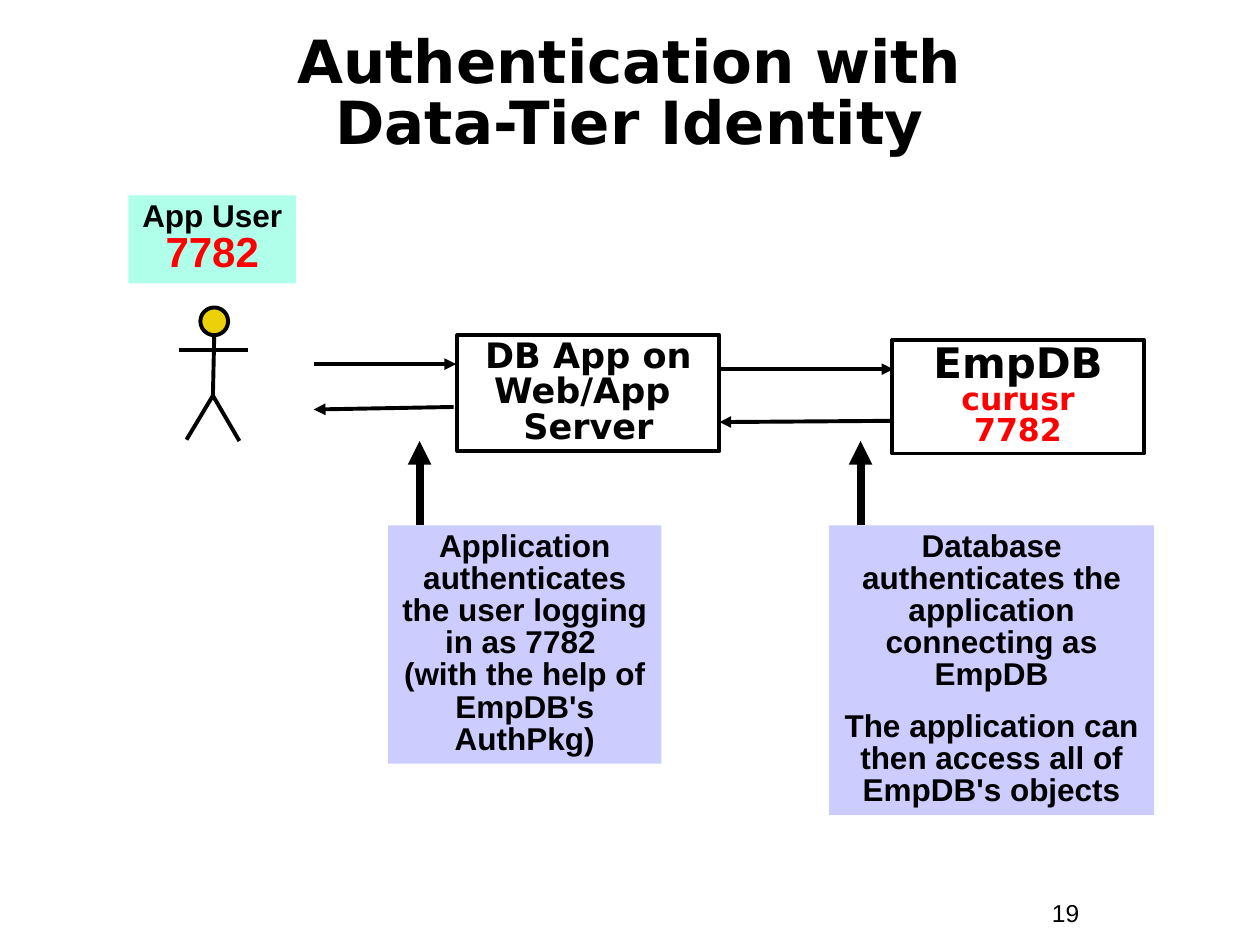
from pptx import Presentation
from pptx.dml.color import RGBColor
from pptx.enum.shapes import MSO_CONNECTOR, MSO_SHAPE
from pptx.enum.text import MSO_ANCHOR, MSO_AUTO_SIZE, PP_ALIGN
from pptx.oxml.ns import qn
from pptx.util import Inches, Pt
from lxml import etree

STRAIGHT = MSO_CONNECTOR.STRAIGHT
RECTANGLE, OVAL = MSO_SHAPE.RECTANGLE, MSO_SHAPE.OVAL
CENTER = PP_ALIGN.CENTER
TOP, MIDDLE = MSO_ANCHOR.TOP, MSO_ANCHOR.MIDDLE
NO_FIT = MSO_AUTO_SIZE.NONE

SANS, HEADING = "Arial", "DejaVu Sans"
COLORS = {
    "black": "000000",
    "red": "FF0000",
    "user": "AFFFEA",
    "callout": "CCCCFF",
    "head": "ECD10A",
}


def write(frame, paragraphs, font, spacing, anchor=TOP, wrap=True):
    """Fill a frame; each paragraph is a list of (line, size, color)."""
    frame.word_wrap = wrap
    frame.auto_size = NO_FIT
    frame.vertical_anchor = anchor
    for i, lines in enumerate(paragraphs):
        paragraph = frame.paragraphs[0] if i == 0 else frame.add_paragraph()
        paragraph.alignment = CENTER
        paragraph.line_spacing = spacing
        paragraph.space_before = Pt(11.2 if i else 0)
        for j, (line, size, color) in enumerate(lines):
            if j:
                paragraph.add_line_break()
            run = paragraph.add_run()
            run.text = line
            run.font.name = font
            run.font.size = Pt(size)
            run.font.bold = True
            run.font.color.rgb = RGBColor.from_string(COLORS[color])


def connect(shapes, start, end, width=2.25, arrow=False):
    """Draw a black line from start to end, with an optional arrowhead at end."""
    line = shapes.add_connector(STRAIGHT, *map(Inches, start + end))
    line.line.color.rgb = RGBColor.from_string(COLORS["black"])
    line.line.width = Pt(width)
    if arrow:
        etree.SubElement(line.line._get_or_add_ln(), qn("a:tailEnd"), type="triangle")
    etree.SubElement(line._element.spPr, qn("a:effectLst"))


prs = Presentation()
prs.slide_width, prs.slide_height = Inches(10), Inches(7.5)
slide = prs.slides.add_slide(prs.slide_layouts[5])

# Title
title = slide.shapes.title
title.left, title.top = Inches(0.33), Inches(0.27)
title.width, title.height = Inches(9.33), Inches(0.98)
write(title.text_frame,
      [[("Authentication with", 34, "black"), ("Data-Tier Identity", 34, "black")]],
      HEADING, 0.85, MIDDLE)

# Servers: outlined boxes
servers = [
    ((7.08, 2.7, 2, 0.9), 0.8, True,
     [("EmpDB", 24, "black"), ("curusr", 18, "red"), ("7782", 18, "red")]),
    ((3.63, 2.66, 2.08, 0.92), 0.85, False,
     [("DB App on", 20, "black"), ("Web/App ", 20, "black"), ("Server", 20, "black")]),
]
for place, spacing, wrap, lines in servers:
    server = slide.shapes.add_shape(RECTANGLE, *map(Inches, place))
    server.shadow.inherit = False
    server.fill.background()
    server.line.color.rgb = RGBColor.from_string(COLORS["black"])
    server.line.width = Pt(2.25)
    write(server.text_frame, [lines], HEADING, spacing, MIDDLE, wrap)

# Labels: filled boxes
labels = [
    ((1.02, 1.55, 1.33, 0.7), "user",
     [[("App User", 18, "black"), ("7782", 24, "red")]]),
    ((6.58, 4.17, 2.58, 2.3), "callout",
     [[("Database authenticates the application connecting as EmpDB", 18, "black")],
      [("The application can then access all of EmpDB's objects", 18, "black")]]),
    ((3.08, 4.17, 2.17, 1.89), "callout",
     [[("Application authenticates the user logging in as 7782 ", 18, "black"),
       ("(with the help of EmpDB's AuthPkg)", 18, "black")]]),
]
for place, fill, paragraphs in labels:
    label = slide.shapes.add_shape(RECTANGLE, *map(Inches, place))
    label.shadow.inherit = False
    label.fill.solid()
    label.fill.fore_color.rgb = RGBColor.from_string(COLORS[fill])
    label.line.fill.background()
    write(label.text_frame, paragraphs, SANS, 0.85)

# Requests and replies between user, application and database
messages = [
    ((2.49, 2.89), (3.62, 2.89)),
    ((3.6, 3.23), (2.49, 3.25)),
    ((5.72, 2.93), (7.09, 2.93)),
    ((7.09, 3.34), (5.71, 3.35)),
]
for start, end in messages:
    connect(slide.shapes, start, end, arrow=True)

# Pointers from the callouts
for x in (3.33, 6.83):
    connect(slide.shapes, (x, 4.17), (x, 3.5), width=4.5, arrow=True)

# Stick figure of the user
figure = slide.shapes.add_group_shape().shapes
head = figure.add_shape(OVAL, *map(Inches, (1.59, 2.44, 0.22, 0.22)))
head.shadow.inherit = False
head.fill.solid()
head.fill.fore_color.rgb = RGBColor.from_string(COLORS["head"])
head.line.color.rgb = RGBColor.from_string(COLORS["black"])
head.line.width = Pt(2.25)
hip = (1.69, 3.14)
for start, end in [((1.7, 2.67), hip), ((1.48, 3.49), hip),
                   ((1.9, 3.5), hip), ((1.42, 2.78), (1.97, 2.78))]:
    connect(figure, start, end)

# Page number
page = slide.shapes.add_textbox(*map(Inches, (8.25, 7.08, 0.92, 0.34))).text_frame
page.word_wrap = True
number = page.paragraphs[0].add_run()
number.text = "19"
number.font.name = SANS
number.font.size = Pt(14)
number.font.color.rgb = RGBColor.from_string(COLORS["black"])

prs.save("out.pptx")
